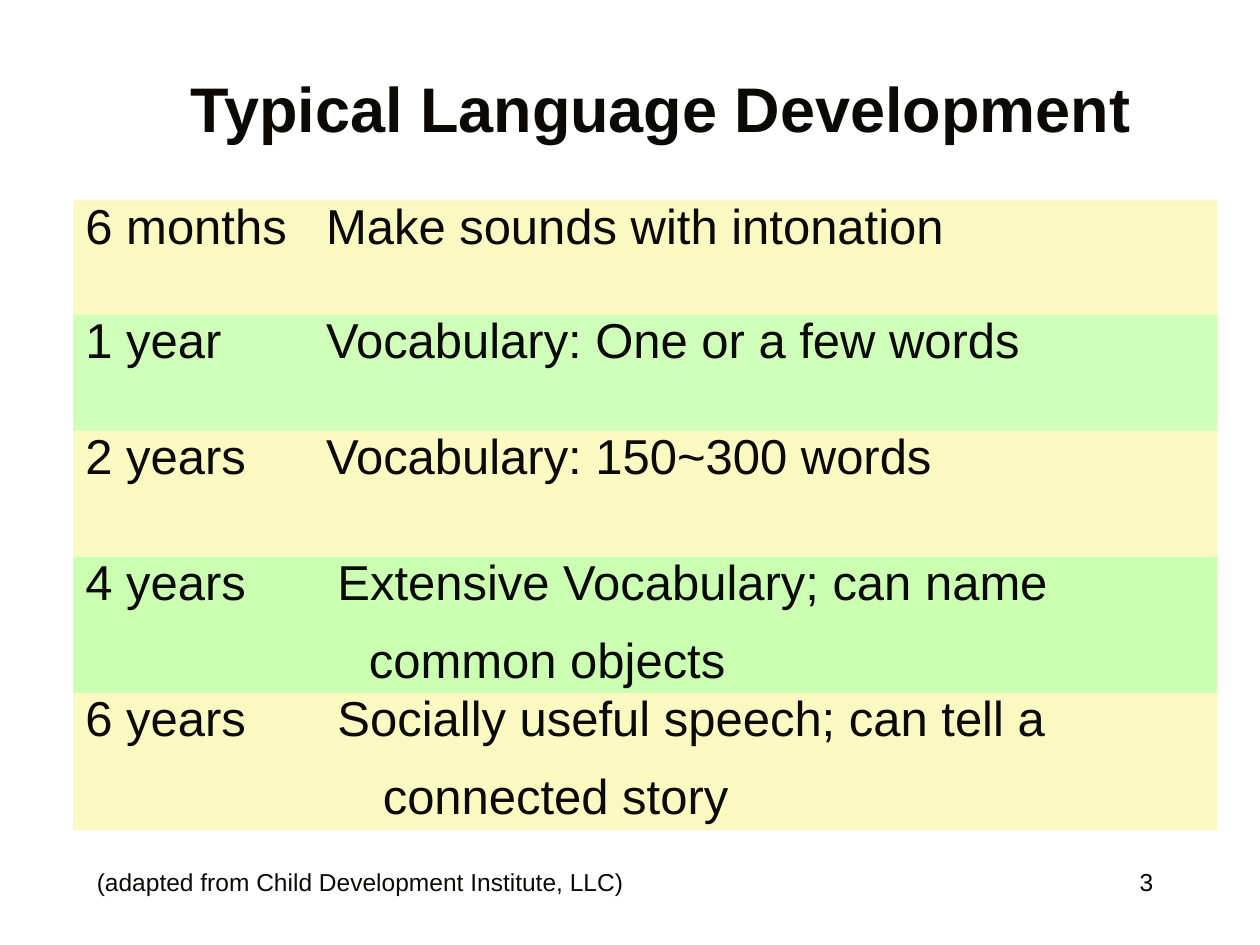
from dataclasses import dataclass

import pptx
import pptx.util
from lxml import etree
from pptx.dml.color import RGBColor
from pptx.enum.shapes import MSO_SHAPE
from pptx.enum.text import MSO_ANCHOR, PP_ALIGN
from pptx.oxml.ns import qn
from pptx.util import Inches, Pt

INK = RGBColor(0x0B, 0x0A, 0x09)
BLACK = RGBColor(0, 0, 0)
CREAM = RGBColor(0xFA, 0xF9, 0xC2)
MINT = RGBColor(0xD0, 0xFF, 0xB9)
GREEN = RGBColor(0xCB, 0xFF, 0xB1)
FONT = "Arial"
BAND_LEFT, BAND_WIDTH = 0.58, 9.08


@dataclass
class Stage:
    age: str
    skill: str
    top: float
    height: float
    color: RGBColor
    tab: float = 1.91
    continuation: str = ""
    indent: float = 0


STAGES = [
    Stage("6 months", "Make sounds with intonation", 1.59, 1, CREAM),
    Stage("1 year", "Vocabulary: One or a few words", 2.5, 1, MINT),
    Stage("2 years", "Vocabulary: 150~300 words", 3.42, 1.09, CREAM),
    Stage("4 years", "Extensive Vocabulary; can name", 4.42, 1.09, GREEN,
          2, "common objects", 2.25),
    Stage("6 years", "Socially useful speech; can tell a", 5.5, 1.09, CREAM,
          2, "connected story", 2.36),
]


def style(paragraph, size: float, color: RGBColor = INK, bold: bool = False) -> None:
    for run in paragraph.runs:
        run.font.name = FONT
        run.font.size = Pt(size)
        run.font.bold = bold
        run.font.color.rgb = color


def add_label(slide, text: str, left: float, top: float, width: float,
              height: float, size: float, align: PP_ALIGN,
              color: RGBColor = INK, bold: bool = False) -> None:
    label = slide.shapes.add_textbox(
        Inches(left), Inches(top), Inches(width), Inches(height))
    label.text_frame.word_wrap = True
    paragraph = label.text_frame.paragraphs[0]
    paragraph.text = text
    paragraph.alignment = align
    style(paragraph, size, color, bold)


def add_tab(paragraph, position: float) -> None:
    tabs = etree.SubElement(paragraph._p.get_or_add_pPr(), qn("a:tabLst"))
    etree.SubElement(tabs, qn("a:tab"), pos=str(Inches(position)), algn="l")


def add_stage(slide, stage: Stage) -> None:
    band = slide.shapes.add_shape(
        MSO_SHAPE.RECTANGLE, Inches(BAND_LEFT), Inches(stage.top),
        Inches(BAND_WIDTH), Inches(stage.height))
    band.shadow.inherit = False
    band.fill.solid()
    band.fill.fore_color.rgb = stage.color
    band.line.fill.background()
    frame = band.text_frame
    frame.word_wrap = True
    frame.vertical_anchor = MSO_ANCHOR.TOP

    # Age and skill share a line, aligned by a tab stop
    first = frame.paragraphs[0]
    add_tab(first, stage.tab)
    first.text = f"{stage.age}\t{stage.skill}"
    if stage.continuation:
        second = frame.add_paragraph()
        second.text = stage.continuation
        second.space_before = Pt(17.5)
        second._p.get_or_add_pPr().set("marL", str(Inches(stage.indent)))
    for paragraph in frame.paragraphs:
        paragraph.alignment = PP_ALIGN.LEFT
        paragraph.line_spacing = 0.8
        style(paragraph, 28)


def main() -> None:
    deck = pptx.Presentation()
    deck.slide_width, deck.slide_height = Inches(10), Inches(7.5)
    slide = deck.slides.add_slide(deck.slide_layouts[6])

    # Title
    add_label(slide, "Typical Language Development", 1.08, 0.5, 8.33, 0.7,
              36, PP_ALIGN.CENTER, bold=True)

    # Stages by age
    for stage in STAGES:
        add_stage(slide, stage)

    # Source and slide number
    add_label(slide, "(adapted from Child Development Institute, LLC)",
              0.67, 6.83, 4.5, 0.34, 14, PP_ALIGN.LEFT)
    add_label(slide, "3", 7.17, 6.83, 2.08, 0.5, 14, PP_ALIGN.RIGHT, BLACK)

    deck.save("out.pptx")


if __name__ == "__main__":
    main()
